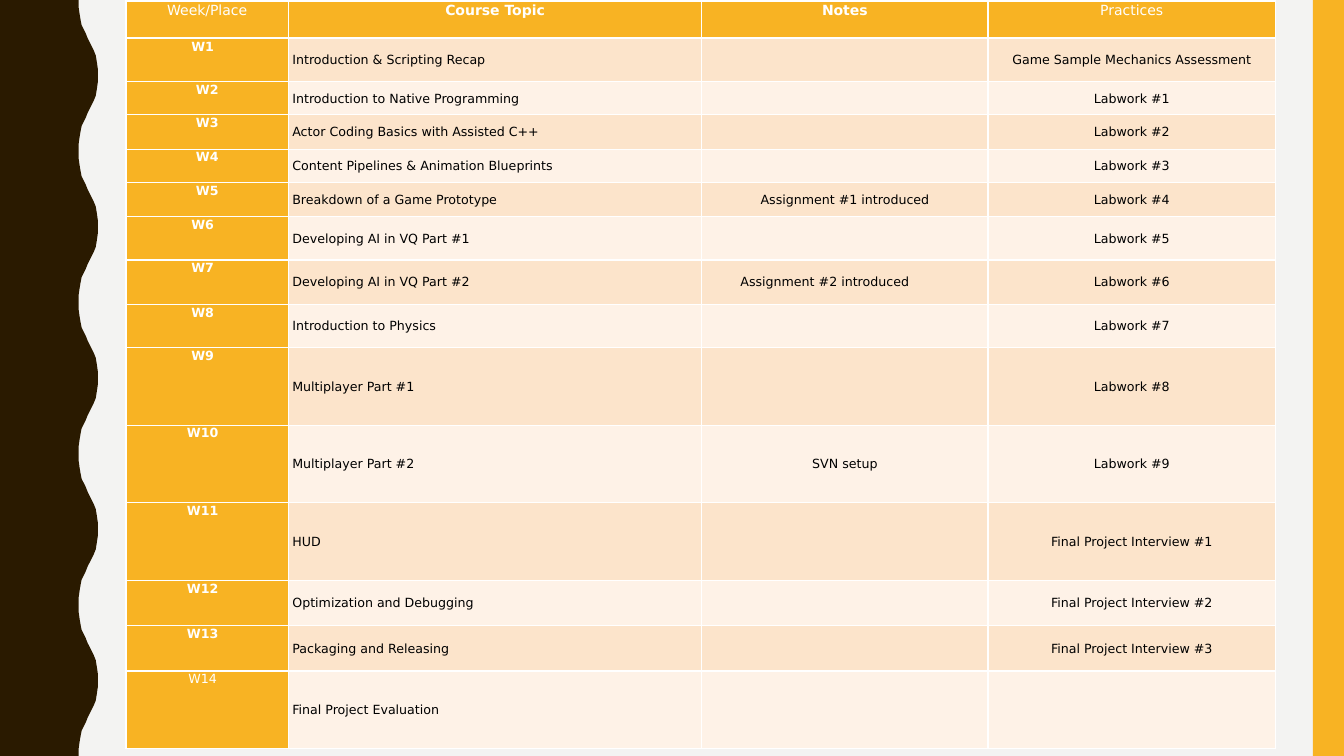
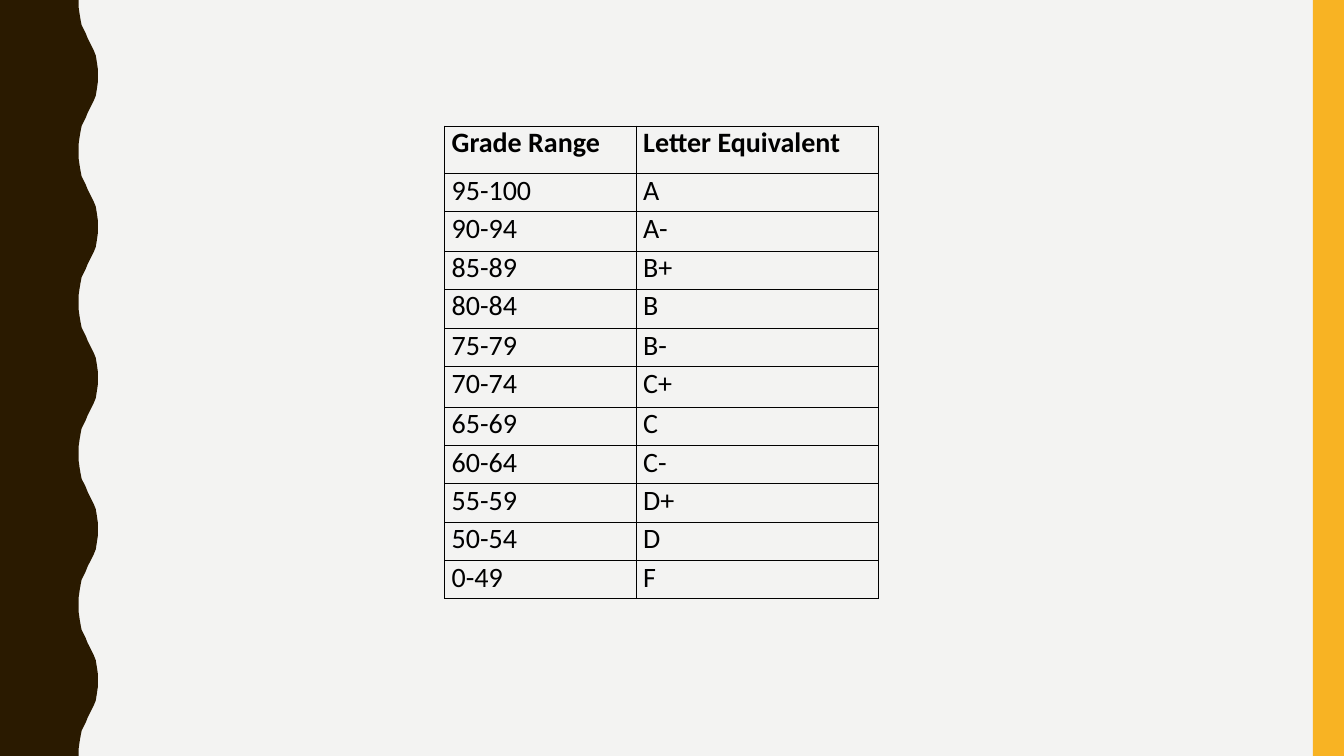
from lxml.etree import SubElement
from pptx import Presentation
from pptx.dml.color import RGBColor
from pptx.enum.shapes import MSO_SHAPE as Preset
from pptx.enum.text import MSO_ANCHOR as Anchor, PP_ALIGN as Align
from pptx.oxml.ns import qn
from pptx.util import Inches, Pt

PAGE_WIDTH, PAGE_HEIGHT = 13.33, 7.5
PAPER, BROWN, AMBER = "F3F3F2", "2A1A00", "F8B323"
PEACH, CREAM, WHITE, BLACK = "FCE4CB", "FEF2E7", "FFFFFF", "000000"

# Left band edge: half a wave as (x, y); the other half mirrors it
WAVE_LENGTH = 1.5
HALF_WAVE = [(0.78, 0), (0.78, 0.07), (0.79, 0.14), (0.8, 0.2), (0.81, 0.25),
             (0.83, 0.29), (0.85, 0.33), (0.87, 0.38), (0.89, 0.42),
             (0.91, 0.46), (0.93, 0.5), (0.95, 0.55), (0.96, 0.61),
             (0.97, 0.68), (0.97, 0.75)]

SCHEDULE_HEAD = ("Week/Place", "Course Topic", "Notes", "Practices")
# Topic, note, practice, row height
SCHEDULE = [
    ("Introduction & Scripting Recap", "", "Game Sample Mechanics Assessment", 0.43),
    ("Introduction to Native Programming", "", "Labwork #1", 0.33),
    ("Actor Coding Basics with Assisted C++", "", "Labwork #2", 0.34),
    ("Content Pipelines & Animation Blueprints", "", "Labwork #3", 0.33),
    ("Breakdown of a Game Prototype", "Assignment #1 introduced", "Labwork #4", 0.34),
    ("Developing AI in VQ Part #1", "", "Labwork #5", 0.43),
    ("Developing AI in VQ Part #2", "Assignment #2 introduced", "Labwork #6", 0.44),
    ("Introduction to Physics", "", "Labwork #7", 0.43),
    ("Multiplayer Part #1", "", "Labwork #8", 0.77),
    ("Multiplayer Part #2", "SVN setup", "Labwork #9", 0.77),
    ("HUD", "", "Final Project Interview #1", 0.77),
    ("Optimization and Debugging", "", "Final Project Interview #2", 0.45),
    ("Packaging and Releasing", "", "Final Project Interview #3", 0.45),
    ("Final Project Evaluation", "", "", 0.77),
]

# Range, letter, row height
GRADES = [
    ("Grade Range", "Letter Equivalent", 0.47),
    ("95-100", "A", 0.38), ("90-94", "A-", 0.39), ("85-89", "B+", 0.38),
    ("80-84", "B", 0.39), ("75-79", "B-", 0.38), ("70-74", "C+", 0.4),
    ("65-69", "C", 0.38), ("60-64", "C-", 0.38), ("55-59", "D+", 0.38),
    ("50-54", "D", 0.38), ("0-49", "F", 0.38),
]


def color(code):
    return RGBColor.from_string(code)


def paint(shape, code):
    shape.shadow.inherit = False
    shape.fill.solid()
    shape.fill.fore_color.rgb = color(code)
    shape.line.fill.background()


def add_page(deck):
    """Blank page with the wavy left band and the straight right band."""
    page = deck.slides.add_slide(deck.slide_layouts[6])
    wave = HALF_WAVE + [(x, WAVE_LENGTH - y) for x, y in HALF_WAVE[-2::-1]]
    points = [(Inches(x), Inches(y + WAVE_LENGTH * turn))
              for turn in range(round(PAGE_HEIGHT / WAVE_LENGTH)) for x, y in wave]
    outline = page.shapes.build_freeform(0, 0)
    outline.add_line_segments(points + [(0, Inches(PAGE_HEIGHT))], close=True)
    paint(outline.convert_to_shape(), BROWN)
    band = page.shapes.add_shape(Preset.RECTANGLE, Inches(13.02), 0,
                                 Inches(0.31), Inches(PAGE_HEIGHT))
    paint(band, AMBER)
    return page


def add_grid(page, left, top, widths, heights):
    """Plain table with the given column widths and row heights."""
    frame = page.shapes.add_table(len(heights), len(widths), Inches(left), Inches(top),
                                  Inches(sum(widths)), Inches(sum(heights)))
    table = frame.table
    table.first_row = table.horz_banding = False
    for column, width in zip(table.columns, widths):
        column.width = Inches(width)
    for row, height in zip(table.rows, heights):
        row.height = Inches(height)
    return table


def set_borders(cell, code, width, bottom=None):
    props = cell._tc.get_or_add_tcPr()
    for side in ("lnL", "lnR", "lnT", "lnB"):
        points = bottom if bottom and side == "lnB" else width
        line = SubElement(props, qn(f"a:{side}"), w=str(Pt(points)))
        fill = SubElement(line, qn("a:solidFill"))
        SubElement(fill, qn("a:srgbClr"), val=code)


def fill_cell(cell, text, font, size, ink=BLACK, bold=False, fill=None,
              align=Align.LEFT, anchor=Anchor.TOP, inset=0.04, shift=0):
    """Write one cell; shift widens the right margin to move text left."""
    if fill:
        cell.fill.solid()
        cell.fill.fore_color.rgb = color(fill)
    else:
        cell.fill.background()
    cell.margin_left, cell.margin_right = Inches(inset), Inches(inset + shift)
    cell.margin_top = cell.margin_bottom = 0
    cell.vertical_anchor = anchor
    cell.text = text
    para = cell.text_frame.paragraphs[0]
    para.alignment = align
    para.font.name, para.font.size = font, Pt(size)
    para.font.bold, para.font.color.rgb = bold, color(ink)
    return para


def add_schedule(page, left, top):
    heights = [0.37] + [entry[-1] for entry in SCHEDULE]
    table = add_grid(page, left, top, [1.61, 4.1, 2.84, 2.85], heights)
    rows = [SCHEDULE_HEAD] + [(f"W{week}", *entry[:-1])
                              for week, entry in enumerate(SCHEDULE, 1)]
    for r, texts in enumerate(rows):
        for c, text in enumerate(texts):
            cell = table.cell(r, c)
            set_borders(cell, WHITE, 1, bottom=2 if r == 0 else None)
            if r == 0 or c == 0:
                # Header row and week column; corner cells stay regular
                corner = r in (0, len(rows) - 1) and c in (0, len(texts) - 1)
                style = dict(size=9 if r else 10, ink=WHITE, bold=not corner,
                             fill=AMBER, align=Align.CENTER,
                             shift=0.09 if r and heights[r] > 0.4 else 0)
            else:
                style = dict(size=9, fill=PEACH if r % 2 else CREAM,
                             align=Align.LEFT if c == 1 else Align.CENTER,
                             anchor=Anchor.MIDDLE,
                             shift=0.4 if text.startswith("Assignment #2") else 0)
            para = fill_cell(cell, text, "DejaVu Sans", **style)
            para.line_spacing, para.space_after = 1.07, Pt(8)


def add_grades(page, left, top):
    table = add_grid(page, left, top, [1.9, 2.4], [entry[-1] for entry in GRADES])
    for r, entry in enumerate(GRADES):
        for c, text in enumerate(entry[:-1]):
            cell = table.cell(r, c)
            set_borders(cell, BLACK, 0.5)
            fill_cell(cell, text, "Calibri", 20, bold=r == 0, inset=0.07)


def main():
    deck = Presentation()
    deck.slide_width, deck.slide_height = Inches(PAGE_WIDTH), Inches(PAGE_HEIGHT)
    backdrop = deck.slide_master.background.fill
    backdrop.solid()
    backdrop.fore_color.rgb = color(PAPER)
    add_schedule(add_page(deck), 1.25, 0.01)
    add_grades(add_page(deck), 4.41, 1.25)
    deck.save("out.pptx")


if __name__ == "__main__":
    main()
